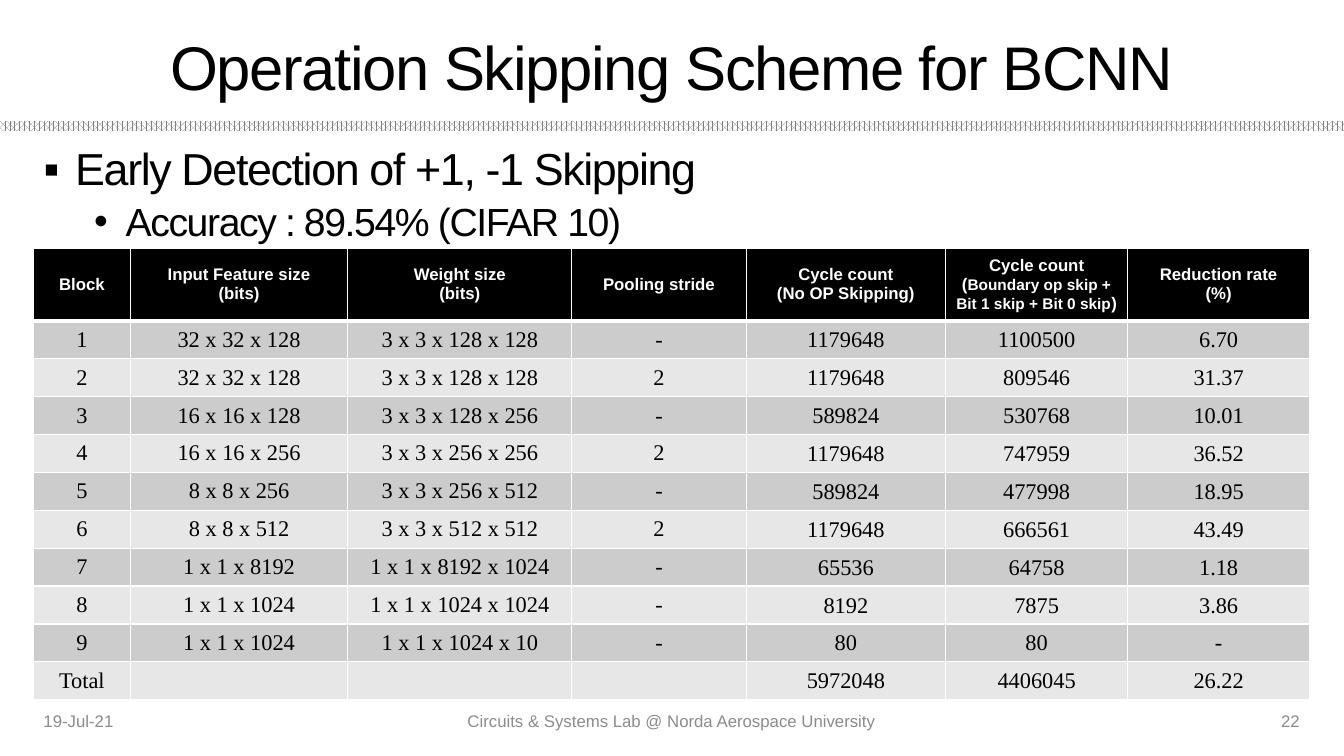
import pptx
import pptx.dml.color
import pptx.enum.dml
import pptx.enum.shapes
import pptx.enum.text
import pptx.oxml
import pptx.oxml.ns
import pptx.oxml.xmlchemy
import pptx.util

Pt = pptx.util.Pt
RGBColor = pptx.dml.color.RGBColor
ALIGN = pptx.enum.text.PP_ALIGN
MIDDLE = pptx.enum.text.MSO_ANCHOR.MIDDLE

BLACK = RGBColor(0x00, 0x00, 0x00)
WHITE = RGBColor(0xFF, 0xFF, 0xFF)
HATCH_GRAY = RGBColor(0x80, 0x80, 0x80)
FOOTER_GRAY = RGBColor(0x8C, 0x8C, 0x8C)
BAND_COLORS = (RGBColor(0xCC, 0xCC, 0xCC), RGBColor(0xE7, 0xE7, 0xE7))

TITLE_FONT = {"name": "Arial", "size": Pt(44), "color": BLACK}
BODY_FONT = {"name": "Arial", "size": Pt(32), "color": BLACK}
FOOTER_FONT = {"name": "Arial", "size": Pt(12), "color": FOOTER_GRAY}
HEADER_FONT = {"name": "Arial", "size": Pt(12), "color": WHITE, "bold": True}
SMALL_HEADER_FONT = HEADER_FONT | {"size": Pt(11)}
CELL_FONT = {"name": "Times New Roman", "size": Pt(16), "color": BLACK, "bold": False}

BULLETS = [
    ("Early Detection of +1, -1 Skipping", "▪", 32, 10, 22.5),
    ("Accuracy : 89.54% (CIFAR 10)", "•", 28, 5, 58.5),
]
HEADERS = [
    [["Block"]],
    [["Input Feature size"], ["(bits)"]],
    [["Weight size"], ["(bits)"]],
    [["Pooling stride"]],
    [["Cycle count"], ["(No OP Skipping)"]],
    [["Cycle count"], ["(", "Boundary op skip +"], ["", "Bit 1 skip + Bit 0 skip", ")"]],
    [["Reduction rate"], ["(%)"]],
]
ROWS = [
    ("1", "32 x 32 x 128", "3 x 3 x 128 x 128", "-", "1179648", "1100500", "6.70"),
    ("2", "32 x 32 x 128", "3 x 3 x 128 x 128", "2", "1179648", "809546", "31.37"),
    ("3", "16 x 16 x 128", "3 x 3 x 128 x 256", "-", "589824", "530768", "10.01"),
    ("4", "16 x 16 x 256", "3 x 3 x 256 x 256", "2", "1179648", "747959", "36.52"),
    ("5", "8 x 8 x 256", "3 x 3 x 256 x 512", "-", "589824", "477998", "18.95"),
    ("6", "8 x 8 x 512", "3 x 3 x 512 x 512", "2", "1179648", "666561", "43.49"),
    ("7", "1 x 1 x 8192", "1 x 1 x 8192 x 1024", "-", "65536", "64758", "1.18"),
    ("8", "1 x 1 x 1024", "1 x 1 x 1024 x 1024", "-", "8192", "7875", "3.86"),
    ("9", "1 x 1 x 1024", "1 x 1 x 1024 x 10", "-", "80", "80", "-"),
    ("Total", "", "", "", "5972048", "4406045", "26.22"),
]
COLUMN_WIDTHS = (69, 155.5, 160, 124.5, 142.5, 130, 130)
HEADER_HEIGHT = 51.8
FIRST_RESULT_COLUMN = 4


def set_all(target, values):
    """Set every attribute named in a dict of format values."""
    for name, value in values.items():
        setattr(target, name, value)


def format_font(font, values):
    """Apply font values, including the colour."""
    for name, value in values.items():
        if name == "color":
            font.color.rgb = value
        else:
            setattr(font, name, value)


def add_span(para, text, font, spacing=0):
    """Add a formatted run, with letter spacing in points."""
    span = para.add_run()
    span.text = text
    format_font(span.font, font)
    if spacing:
        span._r.get_or_add_rPr().set("spc", str(int(spacing * 100)))


def place(shape, box):
    """Move a shape to a box given in points."""
    set_all(shape, dict(zip(("left", "top", "width", "height"), map(Pt, box))))


def add_title(page, box):
    """Fill the title placeholder."""
    title = page.shapes.title
    place(title, box)
    set_all(title.text_frame, {"vertical_anchor": MIDDLE, "word_wrap": True})
    para = title.text_frame.paragraphs[0]
    para.alignment = ALIGN.CENTER
    add_span(para, "Operation Skipping Scheme for BCNN", TITLE_FONT, -1)


def add_divider(page, box):
    """Draw the hatched band below the title."""
    band = page.shapes.add_shape(pptx.enum.shapes.MSO_SHAPE.RECTANGLE, *map(Pt, box))
    band.shadow.inherit = False
    band.line.fill.background()
    band.fill.patterned()
    band.fill.pattern = pptx.enum.dml.MSO_PATTERN.PERCENT_70
    band.fill.fore_color.rgb = HATCH_GRAY
    band.fill.back_color.rgb = WHITE


def add_bullets(page, box):
    """Fill the body placeholder with the two-level list."""
    body = page.placeholders[1]
    place(body, box)
    frame = body.text_frame
    frame.auto_size = pptx.enum.text.MSO_AUTO_SIZE.NONE
    for level, (text, mark, size, space, indent) in enumerate(BULLETS):
        para = frame.add_paragraph() if level else frame.paragraphs[0]
        set_all(para, {"level": level, "line_spacing": 0.9, "space_before": Pt(space),
                       "alignment": ALIGN.LEFT})
        add_span(para, text, BODY_FONT | {"size": Pt(size)}, -1)
        properties = para._p.get_or_add_pPr()
        properties.set("marL", str(Pt(indent)))
        properties.set("indent", str(Pt(-22.5)))
        for tag, name, value in (("buFont", "typeface", "Arial"), ("buChar", "char", mark)):
            bullet = pptx.oxml.xmlchemy.OxmlElement("a:" + tag)
            bullet.set(name, value)
            properties.append(bullet)


def add_borders(cell, bottom_width):
    """Give a cell white borders, with its own bottom width."""
    properties = cell._tc.get_or_add_tcPr()
    for side, width in zip("LRTB", (1, 1, 1, bottom_width)):
        properties.append(pptx.oxml.parse_xml(
            f'<a:ln{side} {pptx.oxml.ns.nsdecls("a")} w="{Pt(width)}"><a:solidFill>'
            f'<a:srgbClr val="{WHITE}"/></a:solidFill></a:ln{side}>'))


def fill_cell(cell, lines, fonts, color, bottom_width=1):
    """Write centred lines whose spans alternate between the fonts."""
    add_borders(cell, bottom_width)
    cell.fill.solid()
    cell.fill.fore_color.rgb = color
    cell.vertical_anchor = MIDDLE
    for number, line in enumerate(lines):
        para = cell.text_frame.add_paragraph() if number else cell.text_frame.paragraphs[0]
        para.alignment = ALIGN.CENTER
        format_font(para.font, fonts[0])
        for index, text in enumerate(line):
            if text:
                add_span(para, text, fonts[index % len(fonts)])


def add_results(page, box):
    """Build the table of cycle counts."""
    table = page.shapes.add_table(len(ROWS) + 1, len(HEADERS), *map(Pt, box)).table
    table.horz_banding = False
    for column, width in zip(table.columns, COLUMN_WIDTHS):
        column.width = Pt(width)
    row_height = (box[3] - HEADER_HEIGHT) / len(ROWS)
    for index, row in enumerate(table.rows):
        row.height = Pt(row_height if index else HEADER_HEIGHT)
    for column, lines in enumerate(HEADERS):
        fill_cell(table.cell(0, column), lines, (HEADER_FONT, SMALL_HEADER_FONT), BLACK, 3)
    margins = {"margin_left": Pt(0.7), "margin_top": Pt(0.7),
               "margin_right": Pt(0.7), "margin_bottom": 0}
    for index, values in enumerate(ROWS):
        for column, value in enumerate(values):
            cell = table.cell(index + 1, column)
            fill_cell(cell, [[value]], (CELL_FONT,), BAND_COLORS[index % 2])
            if column >= FIRST_RESULT_COLUMN:
                set_all(cell, margins)


def add_footer(page, box):
    """Place the date, the lab name and the page number along the bottom."""
    left, top, width, height = box
    parts = [
        ("19-Jul-21", left, 216, ALIGN.LEFT),
        ("Circuits & Systems Lab @ Norda Aerospace University",
         left + (width - 324) / 2, 324, ALIGN.CENTER),
        ("22", left + width - 219, 219, ALIGN.RIGHT),
    ]
    for text, start, length, alignment in parts:
        note = page.shapes.add_textbox(*map(Pt, (start, top, length, height)))
        set_all(note.text_frame, {"word_wrap": True, "vertical_anchor": MIDDLE})
        para = note.text_frame.paragraphs[0]
        para.alignment = alignment
        add_span(para, text, FOOTER_FONT)


def main():
    """Build the deck and save it."""
    deck = pptx.Presentation()
    set_all(deck, {"slide_width": Pt(960), "slide_height": Pt(540)})
    page = deck.slides.add_slide(deck.slide_layouts[1])
    add_divider(page, (0, 86.4, 960, 7.2))
    add_title(page, (24, 16, 911.5, 62.6))
    add_bullets(page, (24, 101.5, 911.5, 385))
    add_results(page, (24, 177.3, 911.5, 322.6))
    add_footer(page, (24, 500.2, 911.5, 28.8))
    deck.save("out.pptx")


if __name__ == "__main__":
    main()
